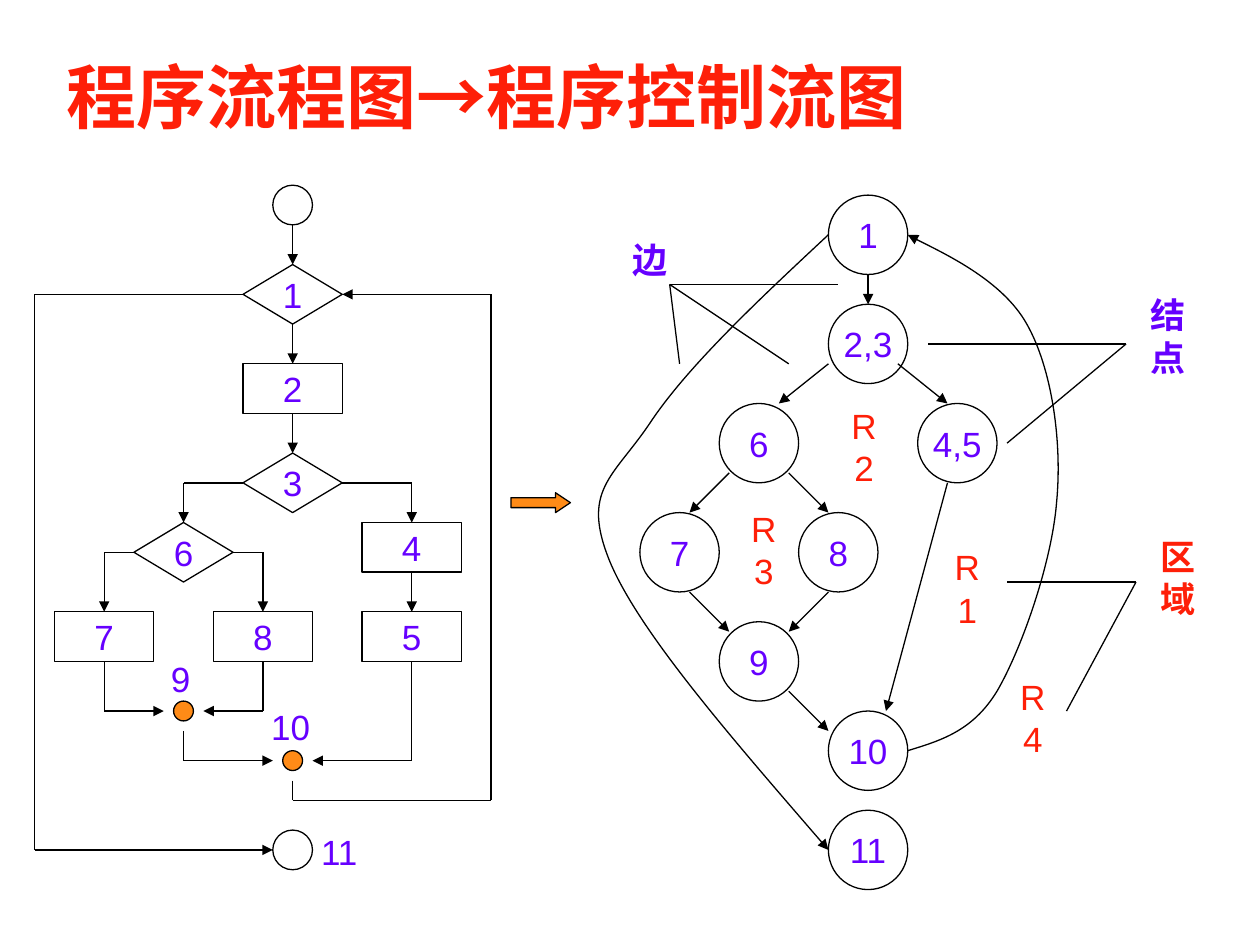
from itertools import pairwise

from lxml import etree
from pptx import Presentation
from pptx.dml.color import RGBColor
from pptx.enum.shapes import MSO_CONNECTOR, MSO_SHAPE
from pptx.enum.text import MSO_ANCHOR, PP_ALIGN
from pptx.oxml.ns import qn
from pptx.util import Inches, Pt

RECT, DIAMOND = MSO_SHAPE.RECTANGLE, MSO_SHAPE.DIAMOND
CIRCLE, BLOCK_ARROW = MSO_SHAPE.OVAL, MSO_SHAPE.RIGHT_ARROW
STRAIGHT = MSO_CONNECTOR.STRAIGHT
MIDDLE = MSO_ANCHOR.MIDDLE
LEFT, CENTER = PP_ALIGN.LEFT, PP_ALIGN.CENTER

COLORS = {"line": "000000", "label": "6600FF", "accent": "FE1F08", "junction": "FF8B17"}
GRID_COLUMNS = 127
MARGIN_X, MARGIN_Y = 0.5, 0.67  # grid origin, in grid units


def rgb(name):
    return RGBColor.from_string(COLORS[name])


def write(frame, text, size=20, color="label", bold=False, font="Arial", align=CENTER):
    """Append a formatted run to the frame's first paragraph."""
    paragraph = frame.paragraphs[0]
    paragraph.alignment = align
    run = paragraph.add_run()
    run.text = text
    run.font.size, run.font.bold, run.font.name = Pt(size), bold, font
    run.font.color.rgb = rgb(color)


class FlowSlide:
    """Draws on a square grid; every position is a (column, row) centre."""

    def __init__(self, presentation):
        self.slide = presentation.slides.add_slide(presentation.slide_layouts[6])
        self.shapes = self.slide.shapes
        self.unit = presentation.slide_width / GRID_COLUMNS
        self.ports = {}

    def point(self, column, row):
        return round((column + MARGIN_X) * self.unit), round((row + MARGIN_Y) * self.unit)

    def box(self, center, width, height):
        column, row = center
        left_top = self.point(column - width / 2, row - height / 2)
        return *left_top, round(width * self.unit), round(height * self.unit)

    def outline(self, item, arrow=False):
        item.line.color.rgb = rgb("line")
        item.line.width = Pt(0.75)
        if arrow:
            etree.SubElement(item.line._get_or_add_ln(), qn("a:tailEnd"), type="triangle")

    def node(self, kind, center, width, height, text="", fill=None):
        node = self.shapes.add_shape(kind, *self.box(center, width, height))
        node.shadow.inherit = False
        self.outline(node)
        if fill:
            node.fill.solid()
            node.fill.fore_color.rgb = rgb(fill)
        else:
            node.fill.background()
        if text:
            node.text_frame.word_wrap = False
            node.text_frame.vertical_anchor = MIDDLE
            write(node.text_frame, text)
        if kind in (RECT, DIAMOND):
            column, row = center
            sides = [(column, row - height / 2), (column - width / 2, row),
                     (column, row + height / 2), (column + width / 2, row)]
            self.ports.update({side: (node, i) for i, side in enumerate(sides)})
        return node

    def route(self, *points, arrow=True):
        """Straight segments through the points, joined to any node side they touch."""
        for start, end in pairwise(points):
            segment = self.shapes.add_connector(STRAIGHT, *self.point(*start), *self.point(*end))
            self.outline(segment, arrow and end == points[-1])
            etree.SubElement(segment._element.spPr, qn("a:effectLst"))
            if start in self.ports:
                segment.begin_connect(*self.ports[start])
            if end in self.ports:
                segment.end_connect(*self.ports[end])

    def curve(self, *points):
        """Cubic Bezier path: a start, then two controls and an anchor per piece."""
        start, *rest = [self.point(*p) for p in points]
        builder = self.shapes.build_freeform(*start)
        builder.add_line_segments(rest, close=False)
        curve = builder.convert_to_shape()
        curve.shadow.inherit = False
        curve.fill.background()
        self.outline(curve, arrow=True)
        path = next(curve._element.iter(qn("a:path")))
        lines = path.findall(qn("a:lnTo"))
        for i in range(0, len(lines), 3):
            bezier = etree.SubElement(path, qn("a:cubicBezTo"))
            for line in lines[i:i + 3]:
                bezier.append(line[0])
                path.remove(line)

    def text_area(self, center, width, height, wrap=False):
        frame = self.shapes.add_textbox(*self.box(center, width, height)).text_frame
        frame.word_wrap = wrap
        frame.vertical_anchor = MIDDLE
        return frame

    def label(self, text, center, width=7, **style):
        write(self.text_area(center, width, 5.6), text, **style)


def draw_title(page):
    title = page.text_area((62.5, 9), 115, 14, wrap=True)
    for text, font in (("程序流程图", "Montserrat"), ("→", "Arial"), ("程序控制流图", "Montserrat")):
        write(title, text, size=40, color="accent", bold=True, font=font, align=LEFT)


def draw_flowchart(page):
    far_left, left, six, right, main, branch, loop = 3, 10, 18, 26, 29, 41, 49
    for text, column, row in (("2", main, 38.5), ("4", branch, 54.5), ("5", branch, 63.5),
                              ("7", left, 63.5), ("8", right, 63.5)):
        page.node(RECT, (column, row), 10, 5, text)
    for text, column, row in (("1", main, 29), ("3", main, 48), ("6", six, 55)):
        page.node(DIAMOND, (column, row), 10, 6, text)
    for row in (20, 85):
        page.node(CIRCLE, (main, row), 4, 4)
    for center in ((six, 71), (main, 76)):
        page.node(CIRCLE, center, 2, 2, fill="junction")

    for column, top, bottom in ((main, 22, 26), (main, 32, 36), (main, 41, 45), (branch, 57, 61)):
        page.route((column, top), (column, bottom))
    page.route((main - 5, 48), (six, 48), (six, 52))
    page.route((main + 5, 48), (branch, 48), (branch, 52))
    for column, side in ((left, -1), (right, 1)):
        page.route((six + 5 * side, 55), (column, 55), (column, 61))
        page.route((column, 66), (column, 71), (six + 2 * side, 71))
    page.route((branch, 66), (branch, 76), (main + 2, 76))
    page.route((six, 73), (six, 76), (main - 2, 76))
    page.route((main, 78), (main, 80), (loop, 80), (loop, 29), (main + 5, 29))
    page.route((main - 5, 29), (far_left, 29), (far_left, 85), (main - 2, 85))

    page.label("9", (17.7, 67.7))
    page.label("10", (28.8, 72.6))
    page.label("11", (33.7, 85.2))


def draw_control_graph(page):
    main = 87
    for text, column, row in (("1", main, 23), ("2,3", main, 34), ("6", 76, 44), ("4,5", 96, 44),
                              ("7", 68, 55), ("8", 84, 55), ("9", 76, 66),
                              ("10", main, 75), ("11", main, 85)):
        page.node(CIRCLE, (column, row), 8, 8, text)
    for start, end in (((main, 27), (main, 30)), ((83, 36), (78, 40)), ((90, 36), (95, 40)),
                       ((73, 47), (69, 51)), ((79, 47), (83, 51)), ((69, 59), (73, 63)),
                       ((83, 59), (79, 63)), ((79, 69), (83, 73)), ((95, 48), (88.8, 71))):
        page.route(start, end)
    page.curve((91, 75), (94.2, 74), (97.5, 73.1), (100, 69), (102.5, 64.7), (105.5, 56.1),
               (106, 50), (106.6, 43.8), (105.5, 36.4), (103, 32), (100.5, 27.5), (92.8, 24),
               (91, 23))
    page.curve((83, 23), (75.8, 29.7), (68.7, 36.4), (65, 42), (61.3, 47.5), (58, 48.7),
               (61, 56), (64, 63.1), (73.5, 74), (83, 85))


def draw_callouts(page):
    for origin, targets in (((67, 28), ((79, 36), (84, 28), (68, 36))),
                            ((113, 34), ((93, 34), (101, 44))),
                            ((114, 58), ((101, 58), (107, 71)))):
        for target in targets:
            page.route(origin, target, arrow=False)
    page.label("边", (65, 25.5), bold=True)
    page.label("结点", (117.2, 33.2), width=9.5, bold=True)
    page.label("区域", (118.2, 57.5), width=9.5, bold=True, color="accent")
    for region, center in (("R1", (97, 58.6)), ("R2", (86.6, 44.3)),
                           ("R3", (76.5, 54.7)), ("R4", (103.6, 71.7))):
        page.label(region, center, color="accent")


def main():
    presentation = Presentation()
    presentation.slide_width, presentation.slide_height = Inches(10), Inches(7.5)
    page = FlowSlide(presentation)
    draw_title(page)
    draw_flowchart(page)
    draw_control_graph(page)
    draw_callouts(page)
    transform = page.node(BLOCK_ARROW, (54, 50), 6, 2, fill="junction")
    transform.adjustments[1] = 0.75
    presentation.save("out.pptx")


if __name__ == "__main__":
    main()
